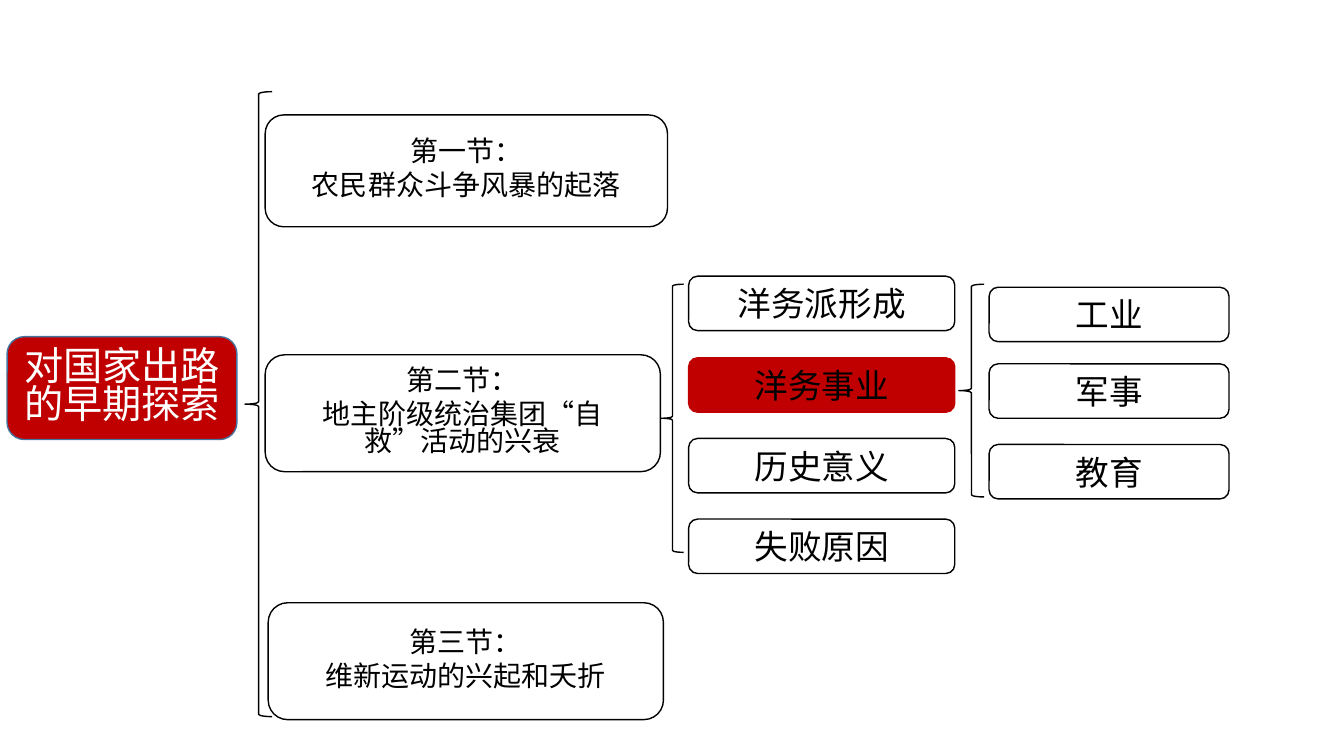
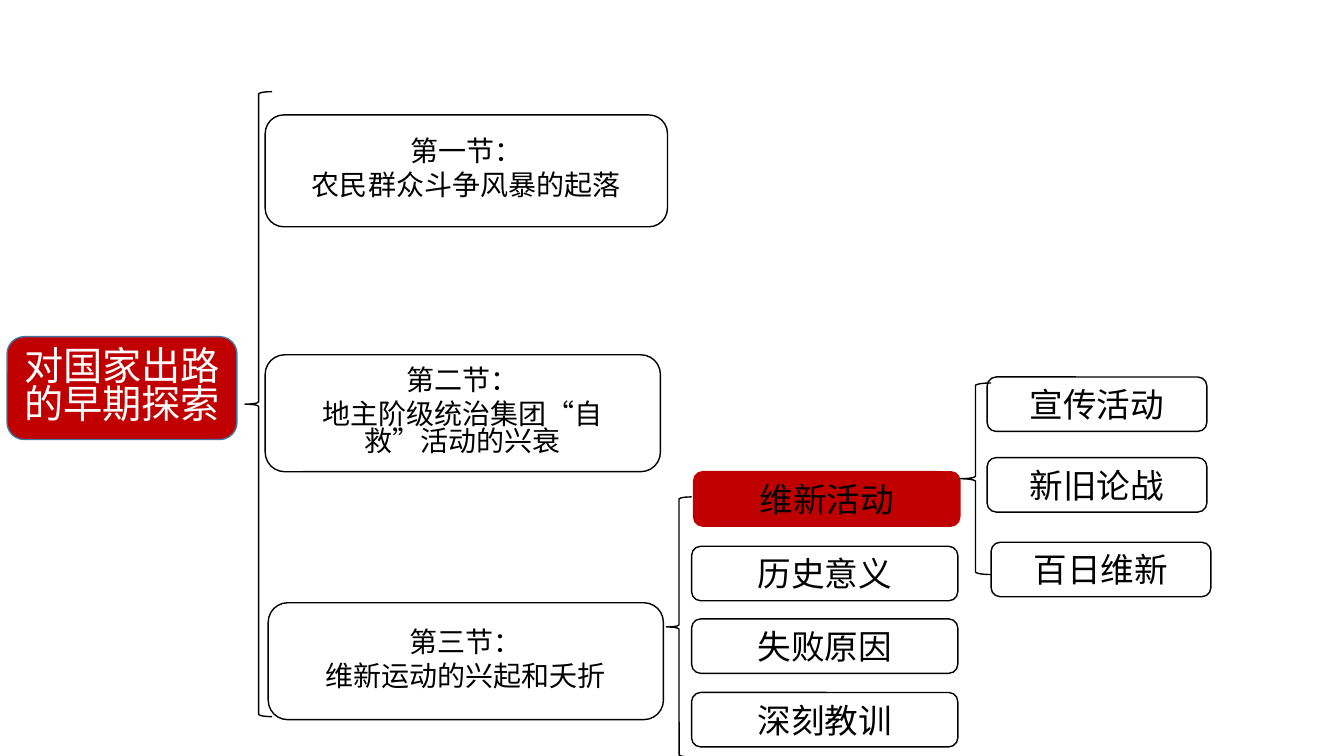
from lxml import etree
from pptx import Presentation
from pptx.dml.color import RGBColor
from pptx.enum.shapes import MSO_SHAPE
from pptx.enum.text import MSO_ANCHOR, PP_ALIGN
from pptx.oxml.ns import qn
from pptx.util import Inches, Pt

ROUND_RECT, LEFT_BRACE = MSO_SHAPE.ROUNDED_RECTANGLE, MSO_SHAPE.LEFT_BRACE
MIDDLE, CENTER = MSO_ANCHOR.MIDDLE, PP_ALIGN.CENTER
FONT = "Noto Sans CJK SC"
RED = RGBColor(0xC0, 0x00, 0x00)
BLUE = RGBColor(0x43, 0x73, 0x9E)
BLACK = RGBColor(0x00, 0x00, 0x00)
WHITE = RGBColor(0xFF, 0xFF, 0xFF)

ROOT_TEXT = "对国家出路的早期探索"
ROOT_BOX = (0.07, 3.34, 2.28, 1.02)
ROOT_BRACE = (2.43, 0.91, 0.27, 6.2)
SECTIONS = [
    ("第一节：\n农民群众斗争风暴的起落", (2.63, 1.14, 3.99, 1.11)),
    ("第二节：\n地主阶级统治集团“自救”活动的兴衰", (2.63, 3.52, 3.92, 1.16)),
    ("第三节：\n维新运动的兴起和夭折", (2.66, 5.98, 3.92, 1.16)),
]
TOPIC_WIDTH, TOPIC_HEIGHT = 2.64, 0.54

WESTERNIZATION = [
    ((6.56, 2.82, 0.22, 2.66), TOPIC_WIDTH, "洋务事业",
     [("洋务派形成", 6.83, 2.74), ("洋务事业", 6.83, 3.55),
      ("历史意义", 6.83, 4.35), ("失败原因", 6.83, 5.15)]),
    ((9.51, 2.82, 0.25, 2.11), 2.38, None,
     [("工业", 9.81, 2.85), ("军事", 9.81, 3.61), ("教育", 9.81, 4.41)]),
]
REFORM = [
    ((6.61, 4.93, 0.25, 2.58), TOPIC_WIDTH, "维新活动",
     [("维新活动", 6.88, 4.68), ("历史意义", 6.86, 5.42),
      ("失败原因", 6.86, 6.14), ("深刻教训", 6.86, 6.87)]),
    ((9.52, 3.8, 0.31, 1.9), 2.18, None,
     [("宣传活动", 9.79, 3.74), ("新旧论战", 9.79, 4.54), ("百日维新", 9.83, 5.38)]),
]


def add_outline(s, kind, box, fill=None, line=BLACK):
    """Add a shape with a one-point line and an optional fill."""
    sp = s.shapes.add_shape(kind, *map(Inches, box))
    sp.shadow.inherit = False
    if fill is None:
        sp.fill.background()
    else:
        sp.fill.solid()
        sp.fill.fore_color.rgb = fill
    sp.line.color.rgb = line
    sp.line.width = Pt(1)
    return sp


def add_node(s, text, box, size, fill=None, line=BLACK, color=BLACK,
             inset=0.1, spacing=1.0):
    """Add a rounded box with centred text."""
    sp = add_outline(s, ROUND_RECT, box, fill, line)
    tf = sp.text_frame
    tf.word_wrap = True
    tf.vertical_anchor = MIDDLE
    tf.margin_left = tf.margin_right = Inches(inset)
    tf.text = text
    for i, p in enumerate(tf.paragraphs):
        p.alignment = CENTER
        p.line_spacing = spacing
        if i:
            p.space_before = Pt(5)
        for r in p.runs:
            r.font.name = FONT
            r.font.size = Pt(size)
            r.font.color.rgb = color
            ea = etree.SubElement(r.font._element, qn("a:ea"))
            ea.set("typeface", FONT)


def add_chapter(s):
    """Add the chapter box, its brace and the three sections."""
    add_node(s, ROOT_TEXT, ROOT_BOX, 28, RED, BLUE, WHITE, spacing=0.8)
    add_outline(s, LEFT_BRACE, ROOT_BRACE)
    for text, box in SECTIONS:
        add_node(s, text, box, 20, WHITE, inset=0.28, spacing=0.8)


def add_branch(s, brace, width, current, topics):
    """Add a brace and its topics, with the current topic in red."""
    for text, left, top in topics:
        fill, line = (RED, RED) if text == current else (None, BLACK)
        add_node(s, text, (left, top, width, TOPIC_HEIGHT), 24, fill, line)
    add_outline(s, LEFT_BRACE, brace)


def add_map_slide(prs, branches):
    """Add a slide with the chapter map and its open branches."""
    s = prs.slides.add_slide(prs.slide_layouts[6])
    add_chapter(s)
    for branch in branches:
        add_branch(s, *branch)


def main():
    """Build and save the presentation."""
    prs = Presentation()
    prs.slide_width, prs.slide_height = Inches(13.33), Inches(7.5)
    background = prs.slide_master.background.fill
    background.solid()
    background.fore_color.rgb = WHITE
    for branches in (WESTERNIZATION, REFORM):
        add_map_slide(prs, branches)
    prs.save("out.pptx")


if __name__ == "__main__":
    main()
